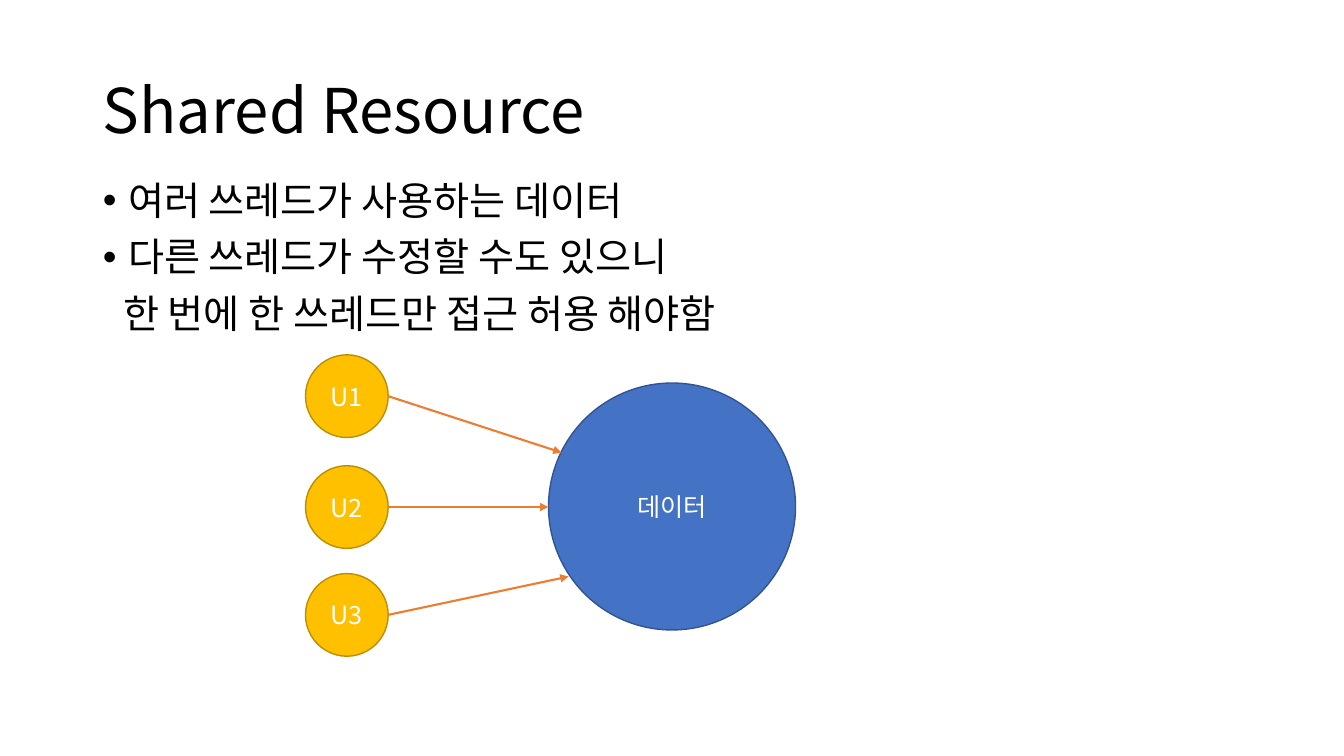
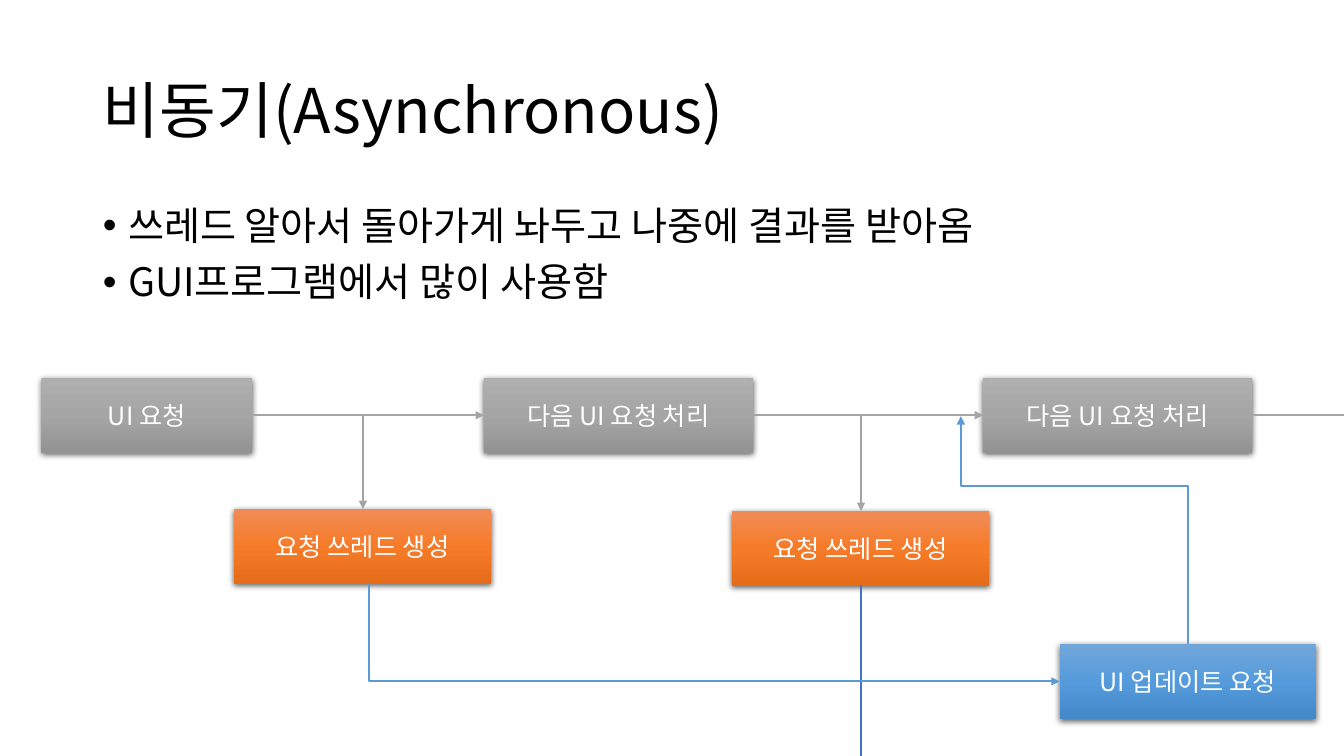
"""Build two slides on threads: shared resources and asynchronous requests."""
import copy

import lxml.etree
import pptx
import pptx.dml.color
import pptx.enum.shapes
import pptx.enum.text
import pptx.oxml.ns
import pptx.util

Inches, Pt = pptx.util.Inches, pptx.util.Pt
SHAPES = pptx.enum.shapes.MSO_SHAPE
CONNECTORS = pptx.enum.shapes.MSO_CONNECTOR
ALIGN = pptx.enum.text.PP_ALIGN
MIDDLE = pptx.enum.text.MSO_ANCHOR.MIDDLE

FONT = "Noto Sans CJK KR"
COLORS = {
    "text": "000000", "label": "FFFFFF",
    "data": "4472C4", "data_edge": "325491",
    "user": "FFC000", "user_edge": "BD8E00",
    "access": "ED7D31", "flow": "A5A5A5", "update": "5B9BD5",
}
GRADIENTS = {
    "request": ("AFAFAF", "A5A5A5", "939393"),
    "thread": ("F18C57", "F67B28", "E56C19"),
    "update": ("71A6DB", "559BDB", "448ACA"),
}
BOX_HEIGHT = 0.74
USER_LEFT, USER_SIZE = 3.03, 0.82

SHARED = {
    "title": "Shared Resource",
    "body_top": 1.75,
    "points": [
        ("여러 쓰레드가 사용하는 데이터", True),
        ("다른 쓰레드가 수정할 수도 있으니", True),
        ("한 번에 한 쓰레드만 접근 허용 해야함", False),
    ],
}
DATA = ("데이터", 5.44, 3.8, 2.45)
USERS = [
    ("U1", 3.52, (5.57, 4.49)),
    ("U2", 4.62, (5.44, 5.03)),
    ("U3", 5.69, (5.64, 5.72)),
]

ASYNC = {
    "title": "비동기(Asynchronous)",
    "body_top": 2,
    "points": [
        ("쓰레드 알아서 돌아가게 놔두고 나중에 결과를 받아옴", True),
        ("GUI프로그램에서 많이 사용함", True),
    ],
}
STEPS = [
    ("UI 요청", "request", 0.41, 3.75, 2.09),
    ("다음 UI 요청 처리", "request", 4.8, 3.75, 2.67),
    ("다음 UI 요청 처리", "request", 9.75, 3.75, 2.67),
    ("요청 쓰레드 생성", "thread", 2.32, 5.05, 2.55),
    ("요청 쓰레드 생성", "thread", 7.26, 5.07, 2.55),
    ("UI 업데이트 요청", "update", 10.51, 6.39, 2.54),
]
FLOWS = [
    ((2.51, 4.12), (4.8, 4.12), "flow", True),
    ((3.6, 4.12), (3.6, 5.05), "flow", True),
    ((7.47, 4.12), (9.75, 4.12), "flow", True),
    ((8.54, 4.12), (8.54, 5.07), "flow", True),
    ((12.41, 4.12), (13.33, 4.12), "flow", False),
    ((8.54, 5.8), (8.54, 7.5), "data", False),
]
UPDATES = [
    ((3.66, 5.79), (10.51, 6.76), "bentConnector2", None),
    ((11.78, 6.39), (9.53, 4.13), "bentConnector3", 69300),
]


def rgb(value):
    return pptx.dml.color.RGBColor.from_string(value)


def add_xml(parent, tag, **attributes):
    child = lxml.etree.SubElement(parent, pptx.oxml.ns.qn(tag))
    for key, value in attributes.items():
        child.set(key, str(value))
    return child


def style_runs(paragraph, size, color):
    for run in paragraph.runs:
        run.font.name = FONT
        run.font.size = Pt(size)
        run.font.color.rgb = rgb(COLORS[color])
        add_xml(run.font._element, "a:ea", typeface=FONT)


def place(placeholder, top, height):
    placeholder.left, placeholder.width = Inches(0.92), Inches(11.5)
    placeholder.top, placeholder.height = Inches(top), Inches(height)
    placeholder.text_frame.auto_size = pptx.enum.text.MSO_AUTO_SIZE.NONE


def add_topic(deck, topic):
    slide = deck.slides.add_slide(deck.slide_layouts[1])
    title, body = slide.shapes.title, slide.placeholders[1]
    place(title, 0.4, 1.45)
    title.text_frame.text = topic["title"]
    title.text_frame.vertical_anchor = MIDDLE
    heading = title.text_frame.paragraphs[0]
    heading.alignment = ALIGN.LEFT
    heading.line_spacing = 0.9
    style_runs(heading, 44, "text")

    place(body, topic["body_top"], 4.76)
    body.text_frame.text = "\n".join(text for text, _ in topic["points"])
    for paragraph, (_, bulleted) in zip(body.text_frame.paragraphs, topic["points"]):
        paragraph.line_spacing = 0.9
        paragraph.space_before = Pt(10)
        properties = paragraph._p.get_or_add_pPr()
        properties.set("marL", str(Inches(0.25 if bulleted else 0.2)))
        properties.set("indent", str(Inches(-0.25 if bulleted else 0)))
        if bulleted:
            add_xml(properties, "a:buFont", typeface="Arial")
            add_xml(properties, "a:buChar", char="•")
        else:
            add_xml(properties, "a:buNone")
        style_runs(paragraph, 28, "text")
    return slide


def add_label_shape(slide, kind, text, left, top, width, height):
    shape = slide.shapes.add_shape(
        kind, Inches(left), Inches(top), Inches(width), Inches(height))
    shape.shadow.inherit = False
    shape.text_frame.text = text
    shape.text_frame.vertical_anchor = MIDDLE
    label = shape.text_frame.paragraphs[0]
    label.alignment = ALIGN.CENTER
    style_runs(label, 18, "label")
    return shape


def add_circle(slide, text, left, top, size, role):
    circle = add_label_shape(slide, SHAPES.OVAL, text, left, top, size, size)
    circle.fill.solid()
    circle.fill.fore_color.rgb = rgb(COLORS[role])
    circle.line.color.rgb = rgb(COLORS[role + "_edge"])
    circle.line.width = Pt(1)


def add_step(slide, text, role, left, top, width):
    step = add_label_shape(slide, SHAPES.RECTANGLE, text, left, top, width, BOX_HEIGHT)
    step.line.fill.background()
    step.fill.gradient()
    step.fill.gradient_angle = 270
    properties = step._element.spPr
    stops = properties.find(".//" + pptx.oxml.ns.qn("a:gsLst"))
    stops.append(copy.deepcopy(stops[0]))
    for stop, position, color in zip(step.fill.gradient_stops, (0, 0.5, 1), GRADIENTS[role]):
        stop.position = position
        stop.color.rgb = rgb(color)
    shadow = add_xml(
        properties.find(pptx.oxml.ns.qn("a:effectLst")), "a:outerShdw",
        blurRad=Pt(4.5), dist=Pt(1.5), dir=5400000, algn="ctr", rotWithShape=0)
    add_xml(add_xml(shadow, "a:srgbClr", val="000000"), "a:alpha", val=63000)


def add_line(slide, start, end, role, arrow=True, kind=CONNECTORS.STRAIGHT):
    line = slide.shapes.add_connector(kind, *(Inches(value) for value in (*start, *end)))
    line.line.color.rgb = rgb(COLORS[role])
    line.line.width = Pt(1.5)
    if arrow:
        add_xml(line.line._get_or_add_ln(), "a:tailEnd", type="triangle")
    add_xml(line._element.spPr, "a:effectLst")
    return line


def add_elbow(slide, start, end, preset, bend):
    """Draw an elbow that leaves vertically, by turning it 270 degrees."""
    middle_x, middle_y = (start[0] + end[0]) / 2, (start[1] + end[1]) / 2
    across, down = start[0] - middle_x, start[1] - middle_y
    elbow = add_line(
        slide, (middle_x - down, middle_y + across), (middle_x + down, middle_y - across),
        "update", kind=CONNECTORS.ELBOW)
    properties = elbow._element.spPr
    properties.find(pptx.oxml.ns.qn("a:xfrm")).set("rot", "16200000")
    geometry = properties.find(pptx.oxml.ns.qn("a:prstGeom"))
    geometry.set("prst", preset)
    if bend:
        adjustments = geometry.find(pptx.oxml.ns.qn("a:avLst"))
        add_xml(adjustments, "a:gd", name="adj1", fmla=f"val {bend}")


deck = pptx.Presentation()
deck.slide_width, deck.slide_height = Inches(13.33), Inches(7.5)

shared = add_topic(deck, SHARED)
add_circle(shared, *DATA, "data")
for name, top, target in USERS:
    add_circle(shared, name, USER_LEFT, top, USER_SIZE, "user")
    add_line(shared, (USER_LEFT + USER_SIZE, top + USER_SIZE / 2), target, "access")

asynchronous = add_topic(deck, ASYNC)
for step in STEPS:
    add_step(asynchronous, *step)
for flow in FLOWS:
    add_line(asynchronous, *flow)
for update in UPDATES:
    add_elbow(asynchronous, *update)

deck.save("out.pptx")
